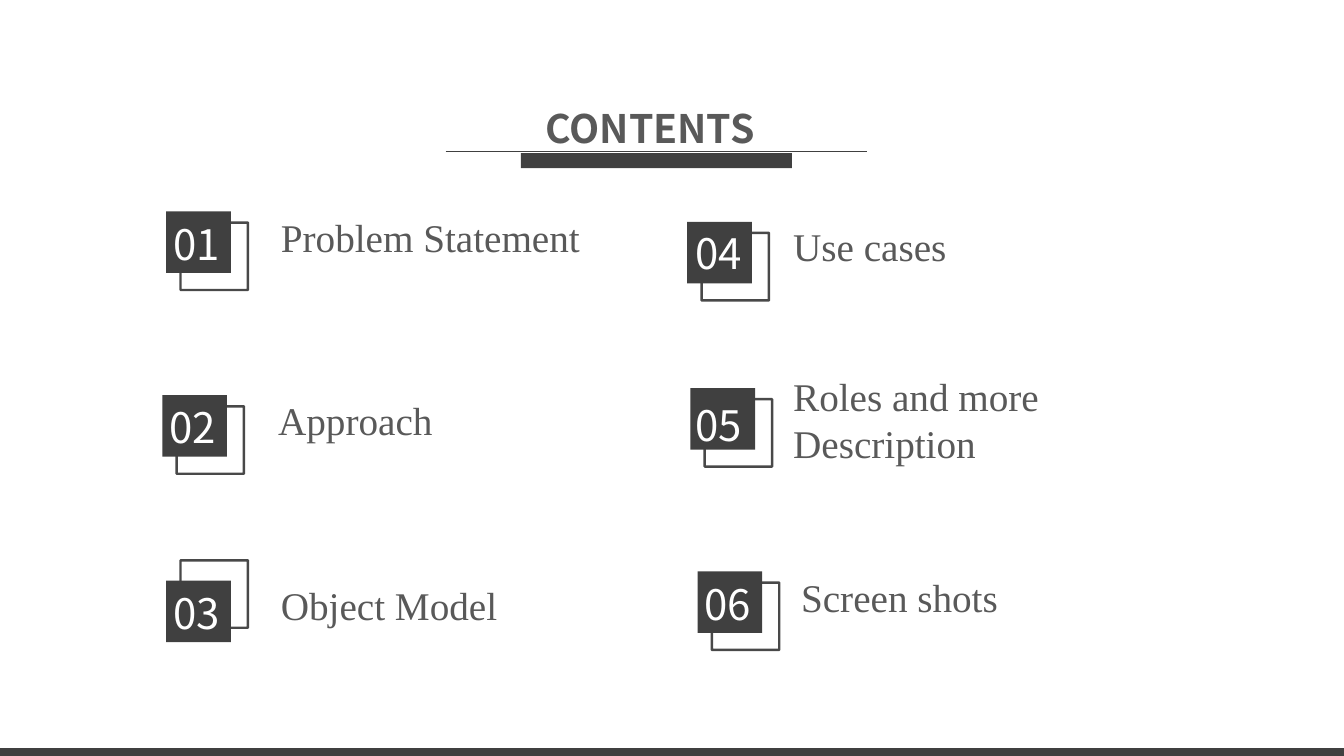
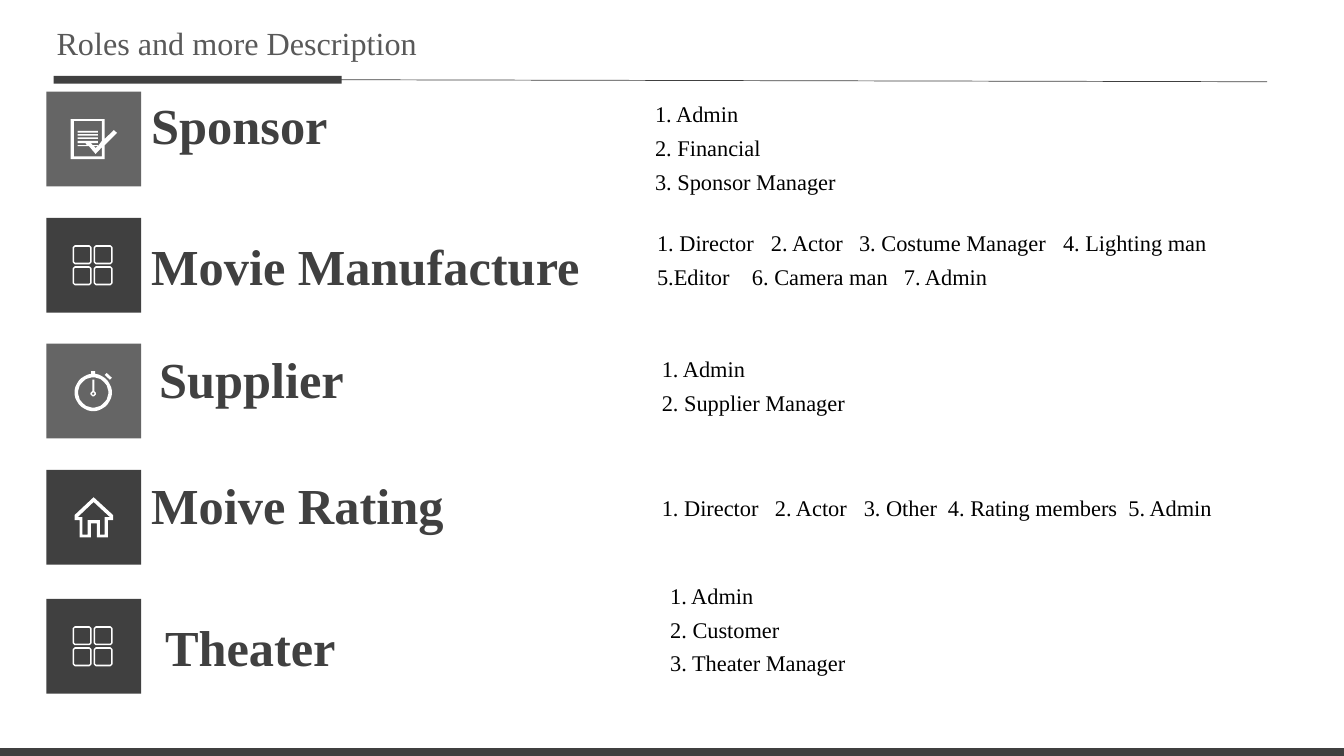
"""Build a contents slide and a roles slide."""
from dataclasses import dataclass
from math import cos, pi, sin

from lxml import etree
from pptx import Presentation
from pptx.dml.color import RGBColor
from pptx.enum.shapes import MSO_CONNECTOR, MSO_SHAPE
from pptx.enum.text import MSO_ANCHOR, MSO_AUTO_SIZE, PP_ALIGN
from pptx.oxml.ns import qn
from pptx.util import Cm, Pt

RECTANGLE = MSO_SHAPE.RECTANGLE
STRAIGHT = MSO_CONNECTOR.STRAIGHT
TOP, MIDDLE = MSO_ANCHOR.TOP, MSO_ANCHOR.MIDDLE
LEFT, CENTER = PP_ALIGN.LEFT, PP_ALIGN.CENTER
FIXED, GROW = MSO_AUTO_SIZE.NONE, MSO_AUTO_SIZE.SHAPE_TO_FIT_TEXT


@dataclass(frozen=True)
class Theme:
    """Hold the colours, fonts and type sizes."""
    dark: str = "404040"
    medium: str = "656565"
    gray: str = "595959"
    white: str = "FFFFFF"
    black: str = "000000"
    sans: str = "Noto Sans CJK SC"
    serif: str = "Times New Roman"
    heading: int = 36
    number: int = 30
    large: int = 28
    title: int = 23
    body: int = 16


THEME = Theme()
STYLES = {
    "contents": dict(name=THEME.sans, size=THEME.large, bold=True, color=THEME.gray),
    "title": dict(name=THEME.serif, size=THEME.title, bold=False, color=THEME.gray),
    "number": dict(name=THEME.sans, size=THEME.number, bold=False, color=THEME.white),
    "label": dict(name=THEME.serif, size=THEME.large, bold=False, color=THEME.gray),
    "heading": dict(name=THEME.serif, size=THEME.heading, bold=True, color=THEME.dark),
    "body": dict(name=THEME.serif, size=THEME.body, bold=False, color=THEME.black),
}

SLIDE_WIDTH, SLIDE_HEIGHT, FOOTER_HEIGHT = 33.87, 19.05, 0.2
SQUARE_WIDTH, SQUARE_HEIGHT = 1.63, 1.55
FRAME_SIZE, FRAME_SHIFT = 1.7, 0.36
FRAME_BELOW, FRAME_ABOVE = 0.28, -0.51
TILE_LEFT, TILE_SIZE = 1.17, 2.39

CONTENTS = [
    dict(number="01", label="Problem Statement", square=(4.19, 5.33), frame=FRAME_BELOW,
         number_at=(4.19, 5.03), label_at=(6.83, 4.85), width=13.79),
    dict(number="02", label="Approach", square=(4.09, 9.96), frame=FRAME_BELOW,
         number_at=(4.09, 9.65), label_at=(6.76, 9.45), width=13.79),
    dict(number="03", label="Object Model", square=(4.19, 14.63), frame=FRAME_ABOVE,
         number_at=(4.19, 14.33), label_at=(6.83, 14.12), width=13.79),
    dict(number="04", label="Use cases", square=(17.32, 5.59), frame=FRAME_BELOW,
         number_at=(17.35, 5.26), label_at=(19.74, 5.08), width=13.79),
    dict(number="05", label="Roles and more Description", square=(17.4, 9.78),
         frame=FRAME_BELOW, number_at=(17.35, 9.58), label_at=(19.74, 9.45), width=11.07),
    dict(number="06", label="Screen shots", square=(17.58, 14.4), frame=FRAME_BELOW,
         number_at=(17.58, 14.1), label_at=(19.94, 13.92), width=6.5),
]

ROLES = [
    dict(name="Sponsor", icon="document", fill=THEME.medium, top=2.31,
         name_box=(3.56, 2.24, 6.12, 1.8), list_box=(16.26, 2.24, 13.39, 2.82),
         lines=["1. Admin", "2. Financial", "3. Sponsor Manager"], tabs=[]),
    dict(name="Movie Manufacture", icon="grid", fill=THEME.dark, top=5.49,
         name_box=(3.56, 5.79, 11.51, 1.8), list_box=(16.31, 5.49, 16.26, 1.96),
         lines=["1. Director\t2. Actor\t3. Costume Manager\t4. Lighting man",
                "5.Editor\t6. Camera man\t7. Admin"],
         tabs=[(2.87, 5.09, 10.23), (2.39, 6.22)]),
    dict(name="Supplier", icon="stopwatch", fill=THEME.medium, top=8.66,
         name_box=(3.76, 8.66, 8.13, 1.8), list_box=(16.43, 8.66, 8.03, 1.96),
         lines=["1. Admin", "2. Supplier Manager"], tabs=[]),
    dict(name="Moive Rating", icon="house", fill=THEME.dark, top=11.84,
         name_box=(3.56, 11.81, 9.6, 1.8), list_box=(16.43, 12.17, 14.71, 1.12),
         lines=["1. Director\t2. Actor\t3. Other\t4. Rating members\t5. Admin"],
         tabs=[(2.85, 5.09, 7.21, 11.76)]),
    dict(name="Theater", icon="grid", fill=THEME.dark, top=15.09,
         name_box=(3.91, 15.39, 11.51, 1.8), list_box=(16.64, 14.38, 8.03, 2.82),
         lines=["1. Admin", "2. Customer", "3. Theater Manager"], tabs=[]),
]


def rounded(left, top, side, radius, steps=32):
    """Return the outline of a square with round corners, or of a circle."""
    angles = [2 * pi * (step + 0.5) / steps for step in range(steps)]
    return [(left + (side - radius if cos(angle) > 0 else radius) + radius * cos(angle),
             top + (side - radius if sin(angle) > 0 else radius) + radius * sin(angle))
            for angle in angles]


def circle(x, y, radius):
    """Return the outline of a circle around a centre."""
    return rounded(x - radius, y - radius, 2 * radius, radius)


def block(left, top, right, bottom):
    """Return the outline of a rectangle."""
    return [(left, top), (right, top), (right, bottom), (left, bottom)]


ICONS = {
    "document": [
        [(61, 69), (147, 69), (147, 119), (170, 97), (178, 104), (147, 135),
         (147, 170), (61, 170)],
        [(69, 74), (69, 163), (140, 163), (140, 140), (124, 157), (107, 137),
         (79, 137), (79, 135), (102, 135), (99, 130), (79, 130), (79, 124),
         (130, 124), (130, 130), (112, 130), (117, 135), (130, 135), (130, 137),
         (140, 124), (140, 74)],
        [(119, 137), (124, 142), (130, 137)],
        *[block(79, top, 130, top + 4) for top in (99, 107, 115)],
    ],
    "grid": [
        rounded(left + inset, top + inset, 48 - 2 * inset, 8 - inset)
        for left in (66, 119) for top in (69, 122) for inset in (0, 4)
    ],
    "stopwatch": [
        circle(118, 123, 47), circle(118, 123, 38),
        block(113, 69, 123, 76), block(116, 91, 121, 119),
        [(147, 79), (152, 74), (165, 86), (160, 91)],
        circle(118, 126, 7), circle(118, 126, 3),
    ],
    "house": [
        [(119, 69), (168, 114), (168, 127), (155, 127), (155, 170), (127, 170),
         (127, 135), (112, 135), (112, 170), (84, 170), (84, 127), (71, 127), (71, 114)],
        [(119, 81), (79, 119), (91, 119), (91, 163), (104, 163), (104, 127),
         (135, 127), (135, 163), (147, 163), (147, 119), (160, 119)],
    ],
}


def rgb(color):
    """Turn a hex string into a colour."""
    return RGBColor.from_string(color)


def paint(shape, color):
    """Give a shape a flat fill without line or shadow."""
    shape.shadow.inherit = False
    shape.fill.solid()
    shape.fill.fore_color.rgb = rgb(color)
    shape.line.fill.background()


def add_block(page, box, color):
    """Add a filled rectangle."""
    paint(page.shapes.add_shape(RECTANGLE, *map(Cm, box)), color)


def add_frame(page, box):
    """Add a slightly transparent square outline."""
    frame = page.shapes.add_shape(RECTANGLE, *map(Cm, box))
    frame.shadow.inherit = False
    frame.fill.background()
    frame.line.width = Pt(1.75)
    frame.line.color.rgb = rgb(THEME.dark)
    color = frame.line._ln.find(".//" + qn("a:srgbClr"))
    etree.SubElement(color, qn("a:alpha"), val="94000")


def add_rule(page, start, end):
    """Add a thin line."""
    rule = page.shapes.add_connector(STRAIGHT, *map(Cm, start + end))
    rule.line.width = Pt(0.5)
    rule.line.color.rgb = rgb(THEME.dark)
    etree.SubElement(rule._element.spPr, qn("a:effectLst"))


def add_icon(page, name, left, top):
    """Add a white icon made of nested outlines."""
    first, *others = ICONS[name]
    builder = page.shapes.build_freeform(*first[0], scale=Cm(0.01))
    builder.add_line_segments(first[1:], close=True)
    for outline in others:
        builder.move_to(*outline[0])
        builder.add_line_segments(outline[1:], close=True)
    paint(builder.convert_to_shape(Cm(left), Cm(top)), THEME.white)


def set_tabs(para, stops):
    """Put left tab stops on a paragraph."""
    tab_list = etree.SubElement(para._p.get_or_add_pPr(), qn("a:tabLst"))
    for stop in stops:
        etree.SubElement(tab_list, qn("a:tab"), pos=str(Cm(stop)), algn="l")


def write(shape, lines, style, frame=None, align=LEFT, spacing=1.0, tabs=()):
    """Write styled paragraphs into a shape."""
    text = shape.text_frame
    settings = dict(word_wrap=True, auto_size=FIXED, vertical_anchor=TOP)
    for name, value in (settings | (frame or {})).items():
        setattr(text, name, value)
    for index, line in enumerate(lines):
        para = text.paragraphs[0] if index == 0 else text.add_paragraph()
        if tabs:
            set_tabs(para, tabs[index])
        para.alignment = align
        para.line_spacing = spacing
        span = para.add_run()
        span.text = line
        values = dict(STYLES[style])
        span.font.color.rgb = rgb(values.pop("color"))
        values["size"] = Pt(values["size"])
        for name, value in values.items():
            setattr(span.font, name, value)


def add_text(page, box, lines, style, **options):
    """Add a text box."""
    write(page.shapes.add_textbox(*map(Cm, box)), lines, style, **options)


def add_page(deck, title, box, style, align):
    """Add a slide with its title and footer band."""
    page = deck.slides.add_slide(deck.slide_layouts[5])
    holder = page.shapes.title
    holder.left, holder.top, holder.width, holder.height = map(Cm, box)
    write(holder, [title], style, dict(vertical_anchor=MIDDLE), align)
    footer_top = SLIDE_HEIGHT - FOOTER_HEIGHT
    add_block(page, (0, footer_top, SLIDE_WIDTH, FOOTER_HEIGHT), THEME.dark)
    return page


def build_contents(deck):
    """Build the numbered contents slide."""
    page = add_page(deck, "CONTENTS", (11.53, 2.5, 9.7, 1.44), "contents", CENTER)
    add_block(page, (13.13, 3.86, 6.83, 0.38), THEME.dark)
    add_rule(page, (11.23, 3.81), (21.84, 3.81))
    insets = dict(margin_left=Cm(0.18), margin_right=Cm(0.18),
                  margin_top=Cm(0.1), margin_bottom=Cm(0.1), auto_size=GROW)
    for item in CONTENTS:
        left, top = item["square"]
        add_frame(page, (left + FRAME_SHIFT, top + item["frame"], FRAME_SIZE, FRAME_SIZE))
        add_block(page, (left, top, SQUARE_WIDTH, SQUARE_HEIGHT), THEME.dark)
        add_text(page, (*item["number_at"], 1.91, 1.84), [item["number"]], "number",
                 frame=insets, spacing=1.3)
        add_text(page, (*item["label_at"], item["width"], 2.24), [item["label"]], "label",
                 frame=dict(vertical_anchor=MIDDLE))


def build_roles(deck):
    """Build the slide that lists the roles of each group."""
    page = add_page(deck, "Roles and more Description", (1.17, 0.51, 14.71, 1.12),
                    "title", LEFT)
    add_block(page, (1.35, 1.91, 7.26, 0.2), THEME.dark)
    add_rule(page, (8.59, 2.01), (31.93, 2.06))
    for role in ROLES:
        add_block(page, (TILE_LEFT, role["top"], TILE_SIZE, TILE_SIZE), role["fill"])
        add_icon(page, role["icon"], TILE_LEFT, role["top"])
        add_text(page, role["name_box"], [role["name"]], "heading",
                 frame=dict(auto_size=GROW))
        add_text(page, role["list_box"], role["lines"], "body",
                 frame=dict(auto_size=GROW), spacing=1.25, tabs=role["tabs"])


def main():
    """Build and save the deck."""
    deck = Presentation()
    deck.slide_width, deck.slide_height = Cm(SLIDE_WIDTH), Cm(SLIDE_HEIGHT)
    build_contents(deck)
    build_roles(deck)
    deck.save("out.pptx")


if __name__ == "__main__":
    main()
